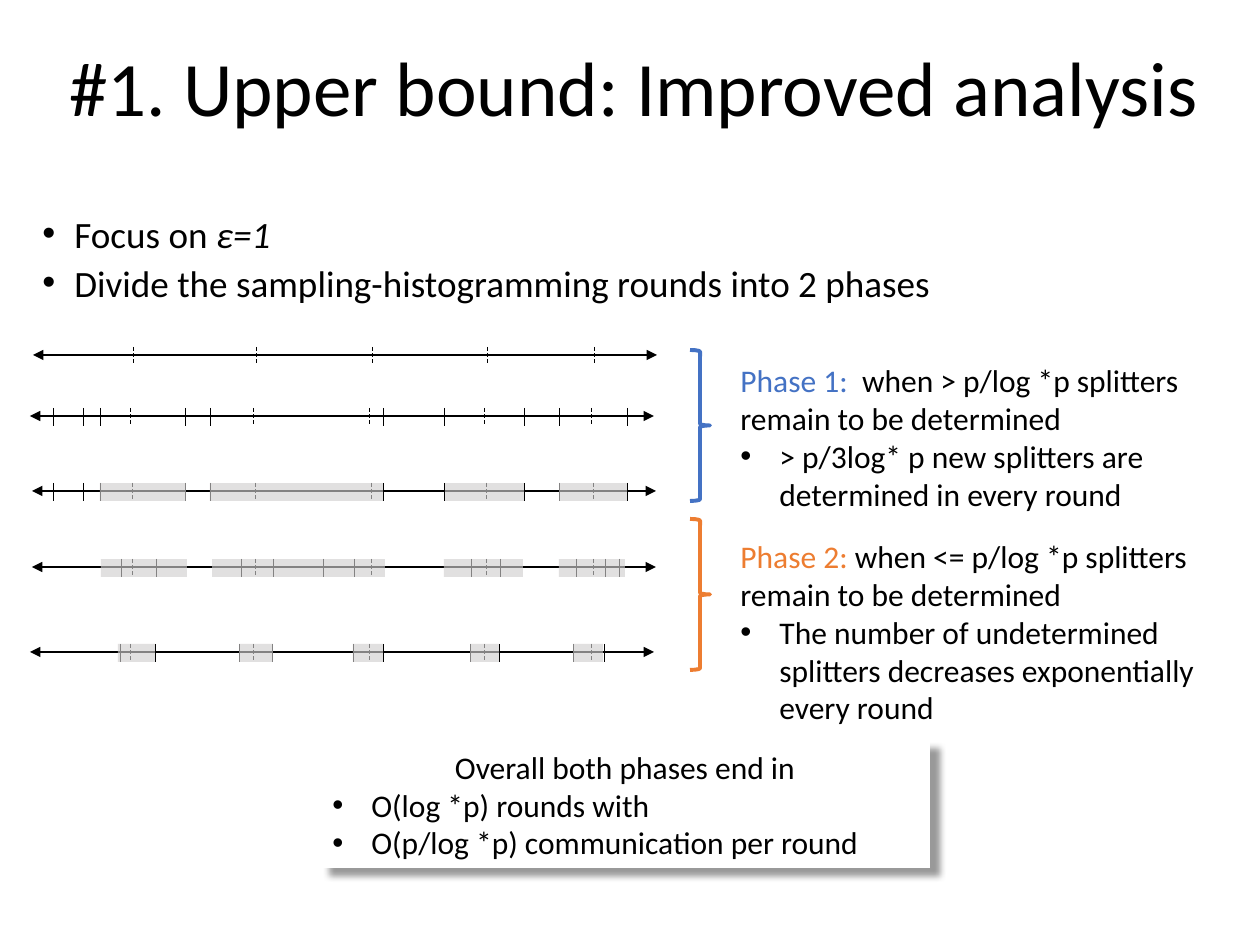
from lxml.etree import SubElement
from pptx import Presentation
from pptx.dml.color import RGBColor
from pptx.enum.dml import MSO_LINE
from pptx.enum.shapes import MSO_CONNECTOR, MSO_SHAPE
from pptx.enum.text import MSO_ANCHOR, PP_ALIGN
from pptx.oxml.ns import qn
from pptx.util import Emu, Pt

BLACK, WHITE, GREY = "000000", "FFFFFF", "D0CECE"
BLUE, ORANGE = "4472C4", "ED7D31"
colour = RGBColor.from_string


def px(*lengths):
    """Turn pixels, 126 to the inch, into EMU."""
    return [Emu(round(length * 914400 / 126)) for length in lengths]


def write(text_frame, lines, size, indent=0):
    """Write (bulleted, runs) lines; each run is (text, colour, italic)."""
    text_frame.word_wrap = True
    for index, (bulleted, runs) in enumerate(lines):
        paragraph = text_frame.paragraphs[0] if index == 0 else text_frame.add_paragraph()
        paragraph.alignment = PP_ALIGN.LEFT
        for text, run_colour, italic in runs:
            run = paragraph.add_run()
            run.text = text
            run.font.name = "Calibri"
            run.font.size = Pt(size)
            run.font.italic = italic
            run.font.color.rgb = colour(run_colour)
        if bulleted:
            properties = paragraph._p.get_or_add_pPr()
            hanging = px(indent)[0]
            properties.set("marL", str(hanging))
            properties.set("indent", str(-hanging))
            SubElement(properties, qn("a:buFont"), typeface="Arial")
            SubElement(properties, qn("a:buChar"), char="•")


presentation = Presentation()
presentation.slide_width, presentation.slide_height = px(1260, 945)
slide = presentation.slides.add_slide(presentation.slide_layouts[6])
shapes = slide.shapes

# Title and introduction
title = shapes.add_textbox(*px(0, 0, 1268, 183)).text_frame
title.vertical_anchor = MSO_ANCHOR.MIDDLE
write(title, [(False, [("#1. Upper bound: Improved analysis", BLACK, False)])], 44)
title.paragraphs[0].alignment = PP_ALIGN.CENTER
title.paragraphs[0].line_spacing = 0.9

introduction = shapes.add_textbox(*px(30, 161, 1208, 144)).text_frame
introduction.margin_top = px(63)[0]
write(introduction, [
    (True, [("Focus on ", BLACK, False), ("ε=1", BLACK, True)]),
    (True, [("Divide the sampling-histogramming rounds into 2 phases", BLACK, False)]),
], 21.2, 32)
for paragraph in introduction.paragraphs:
    paragraph.line_spacing = 0.7
    paragraph.space_after = Pt(10)

# Phases: colour, brace top, text top, text height, label, condition, result
phases = [
    (BLUE, 350, 355, 165, "Phase 1:  ", "when > p/log *p splitters remain to be determined",
     "> p/3log* p new splitters are determined in every round"),
    (ORANGE, 519, 531, 204, "Phase 2: ", "when <= p/log *p splitters remain to be determined",
     "The number of undetermined splitters decreases exponentially every round"),
]
for phase_colour, brace_top, text_top, height, label, condition, result in phases:
    brace = shapes.add_shape(MSO_SHAPE.RIGHT_BRACE, *px(690, brace_top, 20, 151))
    brace.shadow.inherit = False
    brace.fill.background()
    brace.line.color.rgb = colour(phase_colour)
    brace.line.width = Pt(2.25)
    phase_box = shapes.add_textbox(*px(728, text_top, 522, height))
    write(phase_box.text_frame, [
        (False, [(label, phase_colour, False), (condition, BLACK, False)]),
        (True, [(result, BLACK, False)]),
    ], 18, 39)

# Conclusion
conclusion = shapes.add_shape(MSO_SHAPE.RECTANGLE, *px(320, 741, 610, 127))
conclusion.fill.solid()
conclusion.fill.fore_color.rgb = colour(WHITE)
conclusion.line.fill.background()
conclusion.shadow.inherit = False
effects = conclusion._element.spPr.find(qn("a:effectLst"))
shadow = SubElement(effects, qn("a:outerShdw"), blurRad=str(Pt(4)), dist=str(Pt(7)),
                    dir=str(36 * 60000), algn="tl", rotWithShape="0")
shadow_colour = SubElement(shadow, qn("a:srgbClr"), val=BLACK)
SubElement(shadow_colour, qn("a:alpha"), val="40000")
write(conclusion.text_frame, [
    (False, [("Overall both phases end in", BLACK, False)]),
    (True, [("O(log *p) rounds with", BLACK, False)]),
    (True, [("O(p/log *p) communication per round", BLACK, False)]),
], 18, 39)
conclusion.text_frame.paragraphs[0].alignment = PP_ALIGN.CENTER

# Number lines: left end, height, (left, width) of open intervals, sampled keys
AXIS_WIDTH = 624
SPLITTER_OFFSETS = [100, 223, 339, 454, 561]
first_samples = [53, 83, 100, 185, 210, 383, 444, 524, 559, 627]
number_lines = [
    (33, 355, [], []),
    (30, 416, [], first_samples),
    (32, 491, [(100, 86), (210, 173), (445, 79), (559, 68)], first_samples),
    (32, 567, [(101, 86), (212, 173), (444, 79), (559, 66)],
     [121, 156, 241, 273, 323, 354, 471, 500, 576, 605, 619]),
    (30, 652, [(118, 37), (239, 34), (353, 30), (470, 29), (573, 30)],
     [120, 155, 239, 272, 353, 383, 470, 499, 573, 604]),
]
for left, y, intervals, samples in number_lines:
    top, bottom = y - 8, y + 10
    strokes = [("axis", left, y, left + AXIS_WIDTH, y)]
    strokes += [("splitter", left + offset, top, left + offset, bottom)
                for offset in SPLITTER_OFFSETS]
    strokes += [("sample", x, top, x, bottom) for x in samples]
    for role, *ends in strokes:
        stroke = shapes.add_connector(MSO_CONNECTOR.STRAIGHT, *px(*ends))
        SubElement(stroke._element.spPr, qn("a:effectLst"))
        stroke.line.color.rgb = colour(BLACK)
        stroke.line.width = Pt(1.5 if role == "axis" else 0.5)
        if role == "splitter":
            stroke.line.dash_style = MSO_LINE.DASH
        elif role == "axis":
            for arrowhead in ("a:headEnd", "a:tailEnd"):
                SubElement(stroke.line._get_or_add_ln(), qn(arrowhead), type="triangle")
    for interval_left, width in intervals:
        interval = shapes.add_shape(MSO_SHAPE.RECTANGLE, *px(interval_left, top, width, 18))
        interval.shadow.inherit = False
        interval.line.fill.background()
        interval.fill.solid()
        interval.fill.fore_color.rgb = colour(GREY)
        fill_colour = interval._element.spPr.find(qn("a:solidFill")).find(qn("a:srgbClr"))
        SubElement(fill_colour, qn("a:alpha"), val="63000")

presentation.save("out.pptx")
